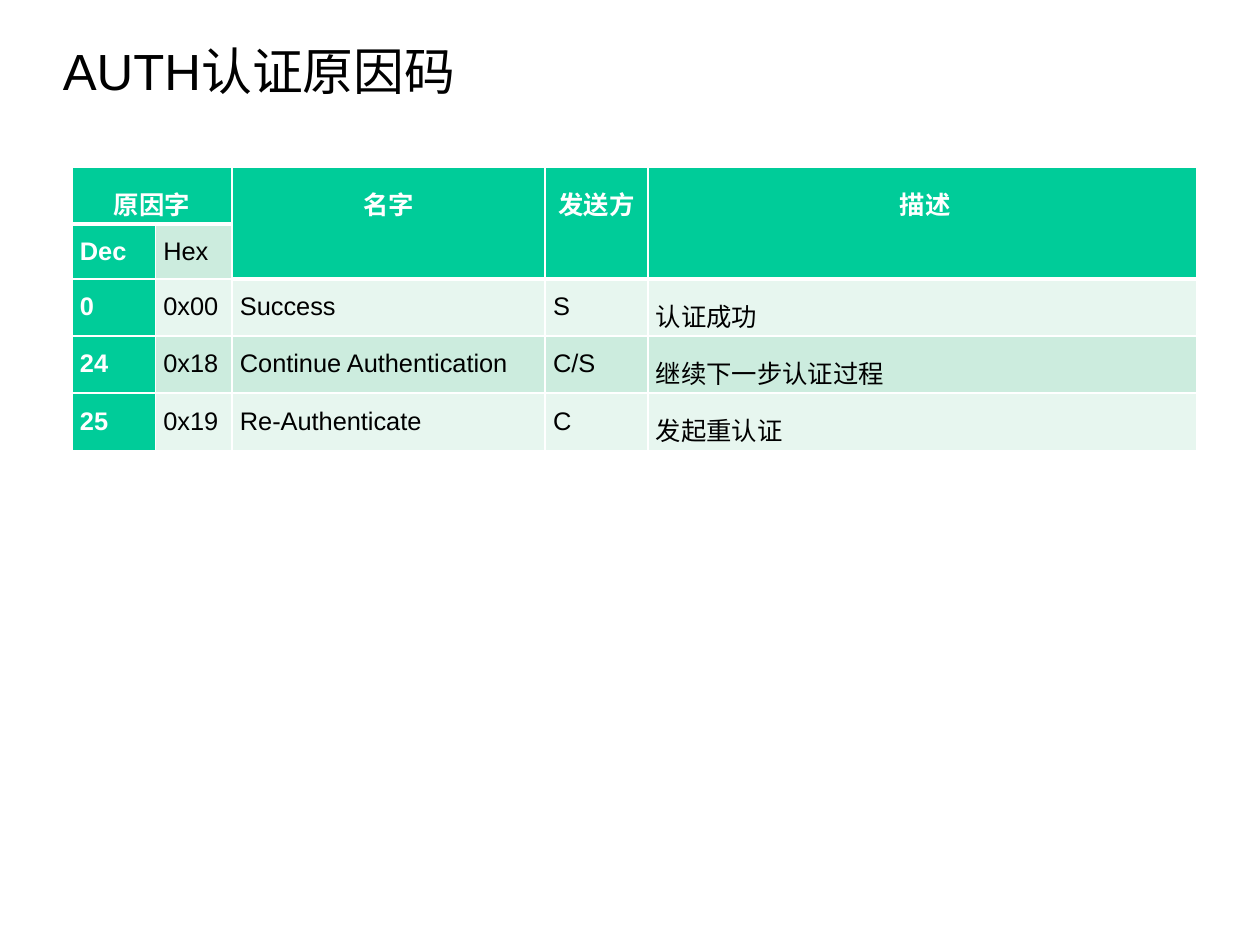
from dataclasses import dataclass

from lxml.etree import SubElement
from pptx import Presentation
from pptx.dml.color import RGBColor
from pptx.enum.text import MSO_ANCHOR, PP_ALIGN
from pptx.oxml.ns import qn
from pptx.util import Inches, Pt


@dataclass(frozen=True)
class Theme:
    font: str = "Arial"
    title_size: int = 32
    table_size: int = 16
    ink: str = "000000"
    paper: str = "FFFFFF"
    accent: str = "00CC99"
    dark_band: str = "CCECDE"
    light_band: str = "E7F6EF"
    rule: float = 1
    header_rule: float = 3


THEME = Theme()
CM_PER_INCH = 2.54
TITLE = "AUTH认证原因码"
HEADINGS = ["原因字", "", "名字", "发送方", " 描述"]
REASON_CODES = [
    ["Dec", "Hex", "", "", ""],
    ["0", "0x00", "Success", "S", "认证成功"],
    ["24", "0x18", "Continue Authentication", "C/S", "继续下一步认证过程"],
    ["25", "0x19", "Re-Authenticate", "C", "发起重认证"],
]
COLUMN_WIDTHS = [0.73, 0.67, 2.74, 0.9, 4.8]
ROW_HEIGHTS = [0.5, 0.48, 0.5, 0.5, 0.5]


def style_text(paragraph, size, color, bold=False):
    for run in paragraph.runs:
        run.font.name = THEME.font
        run.font.size = Pt(size)
        run.font.bold = bold
        run.font.color.rgb = RGBColor.from_string(color)


def set_borders(cell, widths):
    """Draw cell rules; widths are points for left, right, top and bottom."""
    properties = cell._tc.get_or_add_tcPr()
    for index, (side, width) in enumerate(zip("LRTB", widths)):
        line = SubElement(properties, qn(f"a:ln{side}"), w=str(Pt(width)))
        fill = SubElement(line, qn("a:solidFill"))
        SubElement(fill, qn("a:srgbClr"), val=THEME.paper)
        properties.insert(index, line)


def add_title(slide, left, top, width, height):
    frame = slide.shapes.add_textbox(
        Inches(left), Inches(top), Inches(width), Inches(height)).text_frame
    frame.word_wrap = True
    frame.vertical_anchor = MSO_ANCHOR.MIDDLE
    frame.margin_left = frame.margin_right = frame.margin_bottom = 0
    frame.margin_top = Inches(0.03)
    frame.text = TITLE
    frame.paragraphs[0].line_spacing = 0.93
    style_text(frame.paragraphs[0], THEME.title_size, THEME.ink)


def fill_cell(cell, text, is_header, is_accent, band):
    cell.margin_left = cell.margin_right = Inches(0.07)
    cell.margin_top = cell.margin_bottom = 0
    cell.fill.solid()
    cell.fill.fore_color.rgb = RGBColor.from_string(
        THEME.accent if is_accent else band)
    cell.text = text
    paragraph = cell.text_frame.paragraphs[0]
    paragraph.alignment = PP_ALIGN.CENTER if is_header else PP_ALIGN.JUSTIFY
    paragraph.line_spacing = 1.5
    style_text(paragraph, THEME.table_size,
               THEME.paper if is_accent else THEME.ink, is_accent)


def add_reason_table(slide, left, top, width, height):
    rows = [HEADINGS] + REASON_CODES
    table = slide.shapes.add_table(
        len(rows), len(HEADINGS), Inches(left), Inches(top),
        Inches(width), Inches(height)).table
    for column, column_width in zip(table.columns, COLUMN_WIDTHS):
        column.width = Inches(column_width)
    for row, row_height in zip(table.rows, ROW_HEIGHTS):
        row.height = Inches(row_height)

    table.cell(0, 0).merge(table.cell(0, 1))
    for column_index in range(2, len(HEADINGS)):
        table.cell(0, column_index).merge(table.cell(1, column_index))

    for row_index, texts in enumerate(rows):
        band = THEME.dark_band if row_index % 2 else THEME.light_band
        for column_index, text in enumerate(texts):
            cell = table.cell(row_index, column_index)
            is_header = row_index == 0 or (row_index == 1 and column_index > 1)
            fill_cell(cell, text, is_header,
                      is_header or column_index == 0, band)
            below_header = row_index == (2 if column_index > 1 else 1)
            top_rule = THEME.header_rule if below_header else THEME.rule
            bottom_rule = THEME.header_rule if is_header else THEME.rule
            set_borders(cell, [THEME.rule, THEME.rule, top_rule, bottom_rule])


def main():
    presentation = Presentation()
    presentation.slide_width = Inches(28 / CM_PER_INCH)
    presentation.slide_height = Inches(21 / CM_PER_INCH)
    slide = presentation.slides.add_slide(presentation.slide_layouts[6])
    add_title(slide, 0.55, 0.19, 9.92, 0.87)
    add_reason_table(slide, 0.63, 1.46, sum(COLUMN_WIDTHS), sum(ROW_HEIGHTS))
    presentation.save("out.pptx")


if __name__ == "__main__":
    main()
